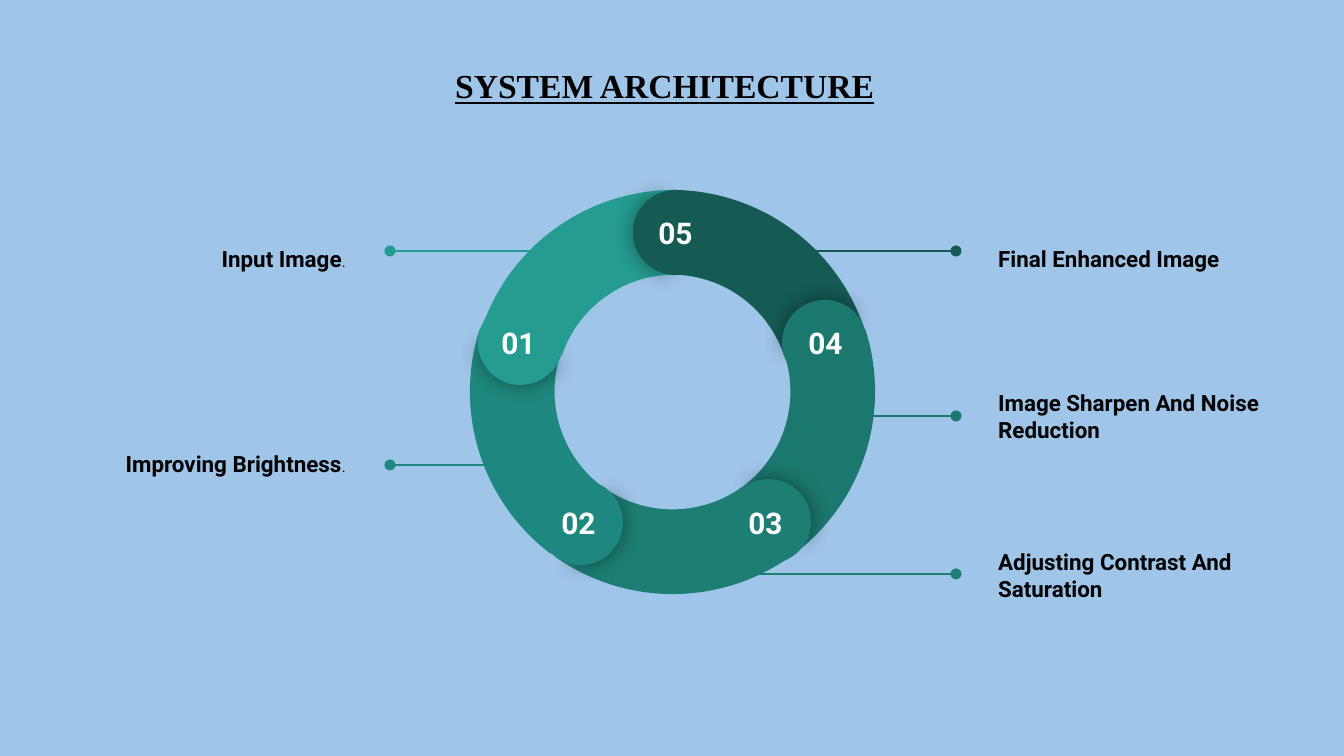
import pptx
import pptx.util
import pptx.dml.color
import pptx.enum.shapes
import pptx.enum.text
import pptx.oxml
import pptx.oxml.ns

EMU_PER_PX = 914400 / 134.4
SHAPE = pptx.enum.shapes.MSO_SHAPE
ALIGN = pptx.enum.text.PP_ALIGN
ANCHOR = pptx.enum.text.MSO_ANCHOR
COLORS = {
    "background": "9FC5E8", "text": "000000", "number": "FFFFFF",
    "01": "249C90", "02": "1F887E", "03": "1D7E74", "04": "1B786E", "05": "155B54",
}
RING, CAP = 407, 85
LABEL_W, LABEL_H = 312, 136
NUMBER_W, NUMBER_H = 75, 39
LEFT_LABEL, RIGHT_LABEL = 47, 985
LEFT_DOT, RIGHT_DOT = 390, 956

TITLE = "SYSTEM ARCHITECTURE"
# stage, label, trailing mark, side, label top, line start x, line y
CALLOUTS = [
    ("01", "Input Image", ".", "left", 191, 570, 251),
    ("02", "Improving Brightness", ".", "left", 396, 526, 465),
    ("03", "Adjusting Contrast And Saturation", "", "right", 507, 685, 574),
    ("05", "Final Enhanced Image", "", "right", 191, 767, 251),
    ("04", "Image Sharpen And Noise Reduction", "", "right", 348, 825, 416),
]
# stage, left, top, rotation, start angle
ARCS = [
    ("02", 470, 188, 277, 126.03),
    ("04", 468, 188, 132, 126.03),
    ("05", 468, 190, 60, 126.03),
    ("03", 469, 187, 204, 126.03),
    ("01", 471, 190, 350, 125.13),
]
# stage, cap left, cap top, cap rotation, number left, number top
CAPS = [
    ("04", 782, 300, 67.1, 788, 311),
    ("02", 538, 480, 211.1, 541, 491),
    ("05", 633, 190, 357.1, 638, 201),
    ("03", 726, 479, 139.1, 728, 491),
    ("01", 478, 300, 284.1, 481, 311),
]
SHADOW = ('<a:outerShdw xmlns:a="http://schemas.openxmlformats.org/drawingml/2006/main" '
          'blurRad="142240" dist="0" dir="0" algn="ctr" rotWithShape="0">'
          '<a:srgbClr val="000000"><a:alpha val="43000"/></a:srgbClr></a:outerShdw>')


def px(*values):
    return [pptx.util.Emu(round(v * EMU_PER_PX)) for v in values]


def rgb(name):
    return pptx.dml.color.RGBColor.from_string(COLORS[name])


def add_text(s, box, text, size, font="Roboto", color="text",
             align=ALIGN.LEFT, anchor=ANCHOR.TOP):
    tf = s.shapes.add_textbox(*px(*box)).text_frame
    tf.word_wrap = True
    tf.vertical_anchor = anchor
    tf.margin_left = tf.margin_right = tf.margin_top = tf.margin_bottom = pptx.util.Inches(0.1)
    p = tf.paragraphs[0]
    p.alignment = align
    p.add_run().text = text
    p.font.name = font
    p.font.size = pptx.util.Pt(size)
    p.font.bold = True
    p.font.color.rgb = rgb(color)
    return p


def add_piece(s, kind, left, top, size, rotation, angles, stage):
    sp = s.shapes.add_shape(kind, *px(left, top, size, size))
    for i, value in enumerate(angles):
        sp.adjustments[i] = value
    sp.rotation = rotation % 360
    sp.fill.solid()
    sp.fill.fore_color.rgb = rgb(stage)
    sp.line.fill.background()
    sp.shadow.inherit = False
    return sp


def add_callout(s, stage, label, mark, side, top, start, y):
    on_left = side == "left"
    dot = LEFT_DOT if on_left else RIGHT_DOT
    line = s.shapes.add_connector(
        pptx.enum.shapes.MSO_CONNECTOR.STRAIGHT, *px(start, y, dot, y))
    line.line.color.rgb = rgb(stage)
    line.line.width = pptx.util.Pt(0.75)
    ln = line.line._get_or_add_ln()
    ln.append(pptx.oxml.parse_xml(
        '<a:tailEnd xmlns:a="http://schemas.openxmlformats.org/drawingml/2006/main" '
        'type="oval" w="med" len="med"/>'))
    ln.addnext(ln.makeelement(pptx.oxml.ns.qn("a:effectLst"), {}))
    p = add_text(s, (LEFT_LABEL if on_left else RIGHT_LABEL, top, LABEL_W, LABEL_H), label, 12,
                 align=ALIGN.RIGHT if on_left else ALIGN.LEFT, anchor=ANCHOR.MIDDLE)
    if mark:
        r = p.add_run()
        r.text = mark
        r.font.size = pptx.util.Pt(8)
        r.font.bold = False


def main():
    prs = pptx.Presentation()
    prs.slide_width, prs.slide_height = px(1344, 756)
    s = prs.slides.add_slide(prs.slide_layouts[6])
    s.background.fill.solid()
    s.background.fill.fore_color.rgb = rgb("background")

    p = add_text(s, (442, 52, 461, 67), TITLE, 18, font="Times New Roman")
    p.font.underline = True
    for callout in CALLOUTS:
        add_callout(s, *callout)
    for stage, left, top, rotation, start in ARCS:
        add_piece(s, SHAPE.BLOCK_ARC, left, top, RING, rotation, (start, 168.68, 0.208), stage)
    for stage, left, top, rotation, _, _ in CAPS:
        shaded = add_piece(s, SHAPE.PIE, left, top, CAP, rotation, (61.9, 149.96), stage)
        effects = shaded._element.spPr.find(pptx.oxml.ns.qn("a:effectLst"))
        effects.append(pptx.oxml.parse_xml(SHADOW))
        add_piece(s, SHAPE.PIE, left, top, CAP, rotation + 179.3, (40.28, 171.84), stage)
    for stage, _, _, _, left, top in CAPS:
        add_text(s, (left, top, NUMBER_W, NUMBER_H), stage, 16, color="number", align=ALIGN.CENTER)

    prs.save("out.pptx")


if __name__ == "__main__":
    main()
